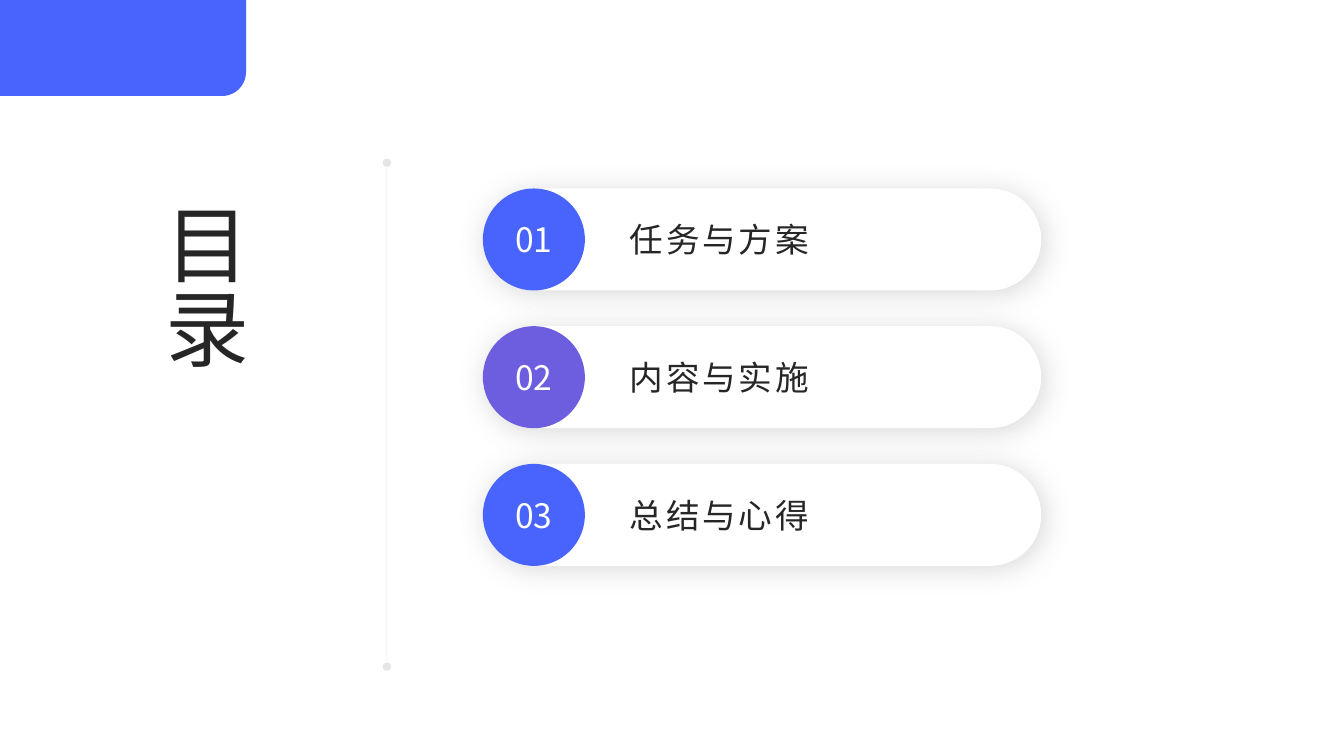
from pptx import Presentation
from pptx import util as u
from pptx.dml import color as dml
from pptx.enum import shapes, text
from pptx.oxml import parse_xml
from pptx.oxml.ns import nsdecls, qn
from lxml import etree

FONT = "Noto Sans CJK SC"
COLORS = {"blue": "4864FC", "violet": "6C5EDE", "ink": "262626",
          "white": "FFFFFF", "grey": "808080"}
ITEMS = [("01", "任务与方案", "blue"),
         ("02", "内容与实施", "violet"),
         ("03", "总结与心得", "blue")]


def rgb(name):
    return dml.RGBColor.from_string(COLORS[name])


def write(shape, words, size, color, align, insets):
    frame = shape.text_frame
    settings = {"vertical_anchor": text.MSO_ANCHOR.MIDDLE,
                "auto_size": text.MSO_AUTO_SIZE.NONE, "word_wrap": True}
    sides = ("margin_left", "margin_top", "margin_right", "margin_bottom")
    settings.update(zip(sides, map(u.Cm, insets)))
    for name, value in settings.items():
        setattr(frame, name, value)
    paragraph = frame.paragraphs[0]
    paragraph.alignment = align
    run = paragraph.add_run()
    run.text = words
    for name, value in {"size": u.Pt(size), "name": FONT}.items():
        setattr(run.font, name, value)
    run.font.color.rgb = rgb(color)
    properties = run.font._element
    etree.SubElement(properties, qn("a:ea")).set("typeface", FONT)
    return properties


def add_filled(slide, kind, box, color):
    shape = slide.shapes.add_shape(kind, *map(u.Cm, box))
    shape.shadow.inherit = False
    shape.fill.solid()
    shape.fill.fore_color.rgb = rgb(color)
    shape.line.fill.background()
    return shape


def add_corner(slide, left, top, width, height):
    # A quarter turn moves the rounded corner to the bottom right
    center_x, center_y = left + width / 2, top + height / 2
    box = (center_x - height / 2, center_y - width / 2, height, width)
    corner = add_filled(slide, shapes.MSO_SHAPE.ROUND_1_RECTANGLE, box, "blue")
    corner.rotation = 90
    corner.adjustments[0] = 0.25


def add_divider(slide, x, top, height):
    ends = map(u.Cm, (x, top, x, top + height))
    divider = slide.shapes.add_connector(shapes.MSO_CONNECTOR.STRAIGHT, *ends)
    divider.line.width = u.Pt(0.5)
    divider.line.color.rgb = rgb("grey")
    line = divider.line._get_or_add_ln()
    color = line.find(".//" + qn("a:srgbClr"))
    etree.SubElement(color, qn("a:alpha")).set("val", "20000")
    for end in ("a:headEnd", "a:tailEnd"):
        etree.SubElement(line, qn(end)).set("type", "oval")
    etree.SubElement(divider._element.spPr, qn("a:effectLst"))


def format_title(slide, left, top, width, height):
    title = slide.shapes.title
    box = {"left": left, "top": top, "width": width, "height": height}
    for name, value in box.items():
        setattr(title, name, u.Cm(value))
    write(title, "目录", 60, "ink", text.PP_ALIGN.CENTER,
          (0.25, 0.13, 0.25, 0.13))
    title.text_frame._element.bodyPr.set("vert", "eaVert")


def add_soft_shadow(shape):
    properties = shape._element.spPr
    properties.remove(properties.find(qn("a:effectLst")))
    properties.append(parse_xml(
        f'<a:effectLst {nsdecls("a")}>'
        f'<a:outerShdw blurRad="{u.Pt(20)}" dist="{u.Pt(3)}" dir="2700000"'
        ' algn="tl" rotWithShape="0">'
        f'<a:srgbClr val="{COLORS["grey"]}"><a:alpha val="30000"/></a:srgbClr>'
        '</a:outerShdw></a:effectLst>'))


def add_item(slide, box, number, label, color):
    left, top, width, height = box
    # White pill
    pill = add_filled(slide, shapes.MSO_SHAPE.ROUNDED_RECTANGLE, box, "white")
    pill.adjustments[0] = 0.5
    add_soft_shadow(pill)

    # Number disc
    disc = add_filled(slide, shapes.MSO_SHAPE.OVAL,
                      (left, top, height, height), color)
    write(disc, number, 24, "white", text.PP_ALIGN.CENTER, (0, 0, 0, 0))
    disc.text_frame.word_wrap = False

    # Label
    indent = 3.45
    label_box = (left + indent, top, width - indent, height)
    caption = slide.shapes.add_textbox(*map(u.Cm, label_box))
    properties = write(caption, label, 24, "ink", text.PP_ALIGN.LEFT,
                       (0.25, 0, 0.25, 0))
    properties.set("spc", "200")


def add_agenda(slide, left, top, width, item_height, pitch):
    for index, item in enumerate(ITEMS):
        box = (left, top + index * pitch, width, item_height)
        add_item(slide, box, *item)


def main():
    presentation = Presentation()
    presentation.slide_width = u.Cm(33.87)
    presentation.slide_height = u.Cm(19.05)
    slide = presentation.slides.add_slide(presentation.slide_layouts[5])
    add_divider(slide, 9.75, 4.1, 12.7)
    add_corner(slide, -0.05, 0, 6.25, 2.42)
    format_title(slide, 3.25, 4.98, 3.81, 10)
    add_agenda(slide, 12.17, 4.75, 14.07, 2.57, 3.47)
    presentation.save("out.pptx")


if __name__ == "__main__":
    main()
